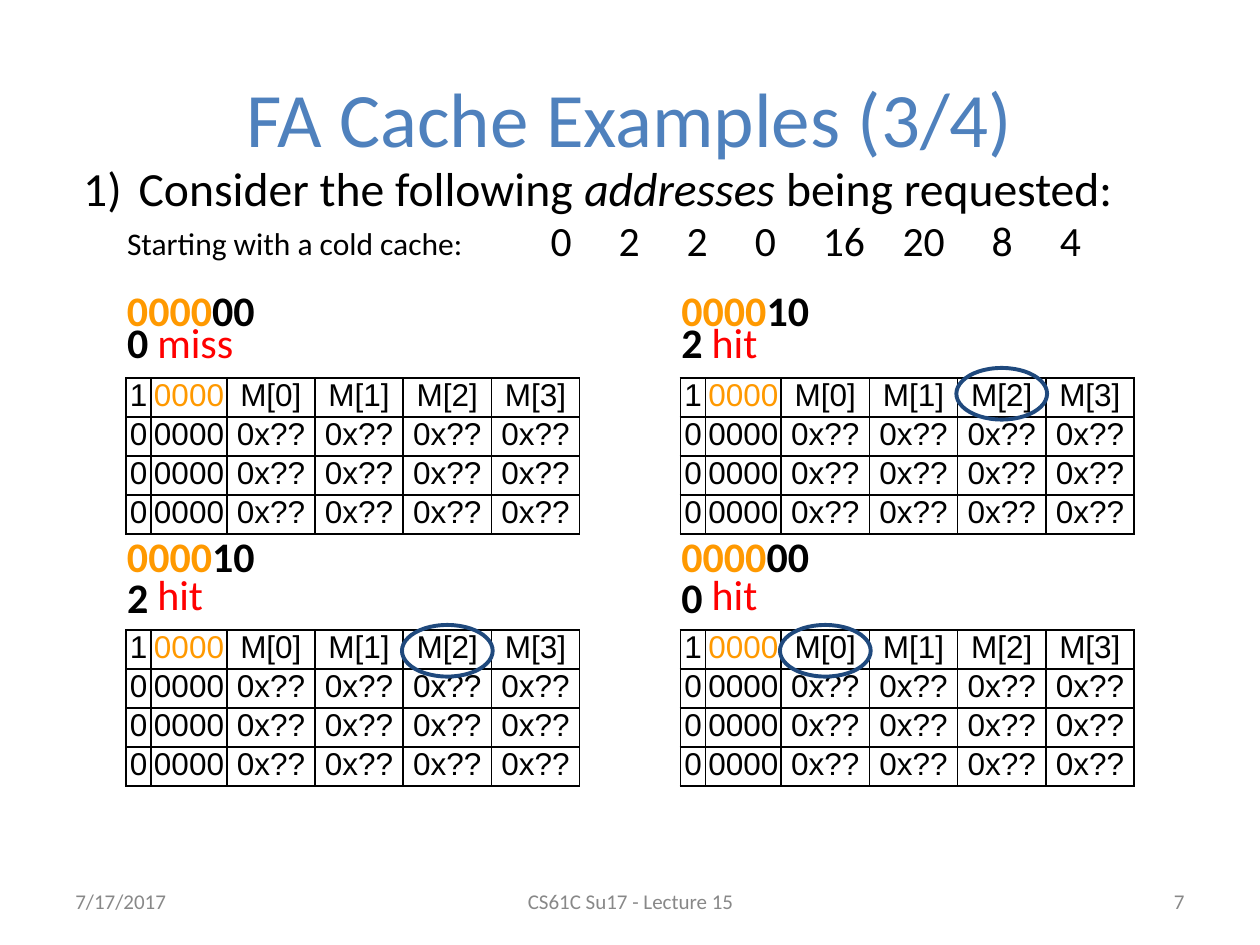
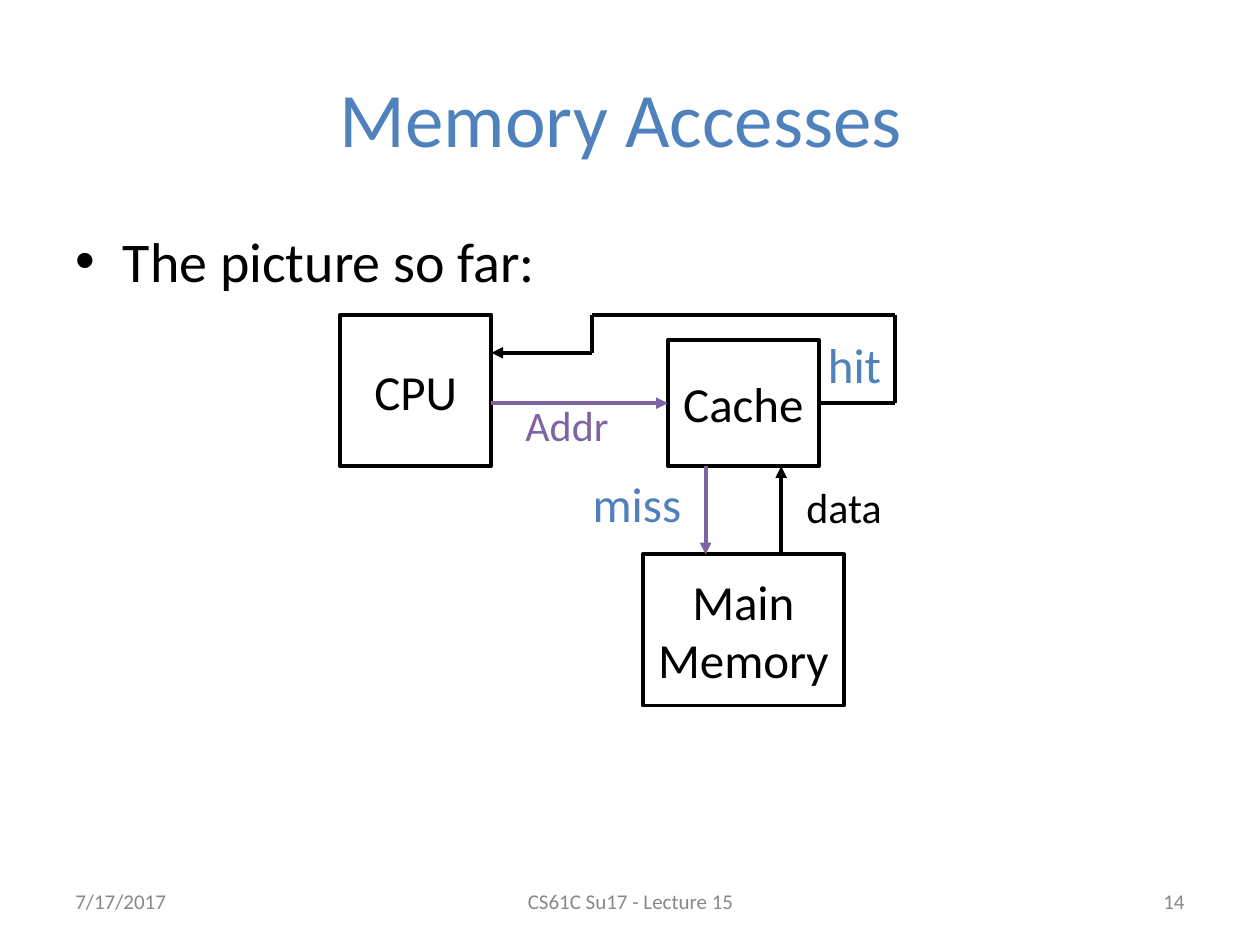
import itertools

import lxml.etree
import pptx
import pptx.dml.color
import pptx.enum.shapes
import pptx.enum.text
import pptx.oxml.ns
import pptx.util

RGB = pptx.dml.color.RGBColor
ALIGN = pptx.enum.text.PP_ALIGN
ANCHOR = pptx.enum.text.MSO_ANCHOR
SHAPE = pptx.enum.shapes.MSO_SHAPE

BLACK = RGB(0x00, 0x00, 0x00)
WHITE = RGB(0xFF, 0xFF, 0xFF)
TITLE_BLUE = RGB(0x4F, 0x81, 0xBD)
RING_BLUE = RGB(0x1F, 0x49, 0x7D)
PURPLE = RGB(0x80, 0x64, 0xA2)
TAG_ORANGE = RGB(0xFF, 0x99, 0x00)
RED = RGB(0xFF, 0x00, 0x00)
FOOTER_GRAY = RGB(0x88, 0x88, 0x88)

EMU_PER_PX = 9144
LINE_WIDTH = pptx.util.Pt(2.25)

TITLE_BOX = (50, 30, 900, 125)
FOOTER_TOP, FOOTER_HEIGHT = 695, 40
DATE = "7/17/2017"
LECTURE = "CS61C Su17 - Lecture 15"

REQUEST_BOX = (50, 130, 858, 89)
REQUEST = [("Consider the following ", False), ("addresses", True), (" being requested:", False)]
ADDRESSES = ["0", "2", "2", "0", "16", "20", "8", "4"]
ADDRESSES_INDENT = 377
WIDE_GAP, NARROW_GAP = 2150, 1610
COLD_START = "Starting with a cold cache:"

TAG = "0000"
CACHE_ROWS = [["1", TAG, "M[0]", "M[1]", "M[2]", "M[3]"]] + [["0", TAG] + ["0x??"] * 4] * 3
CACHE_COLUMNS = [20, 60, 70, 70, 70, 70]
CACHE_ROW_HEIGHT = 31
CACHE_LEFTS = [100, 540]
CACHE_BANDS = [
    {"table": 300, "bits": 221, "address": 246, "outcome": 246, "ring": 292},
    {"table": 500, "bits": 416, "address": 449, "outcome": 446, "ring": 496},
]
ACCESSES = [
    {"column": 0, "band": 0, "offset": "00", "address": "0", "outcome": "miss", "ringed": None},
    {"column": 1, "band": 0, "offset": "10", "address": "2", "outcome": "hit", "ringed": 4},
    {"column": 0, "band": 1, "offset": "10", "address": "2", "outcome": "hit", "ringed": 4},
    {"column": 1, "band": 1, "offset": "00", "address": "0", "outcome": "hit", "ringed": 2},
]
RING_WIDTH, RING_HEIGHT = 72, 41

PICTURE_BOX = (50, 175, 900, 540)
UNITS = {
    "Cache": (530, 270, 120, 100),
    "CPU": (270, 250, 120, 120),
    "Main Memory": (510, 440, 160, 120),
}
SIGNALS = [
    ("Addr", (410, 320, 80, 40), 24, PURPLE, ALIGN.CENTER),
    ("miss", (461, 380, 89, 50), 28, TITLE_BLUE, ALIGN.CENTER),
    ("hit", (650, 270, 58, 46), 28, TITLE_BLUE, ALIGN.LEFT),
    ("data", (630, 385, 80, 40), 24, BLACK, ALIGN.CENTER),
]
ROUTES = [
    {"points": [(390, 320), (530, 320)], "color": PURPLE, "end": ("Cache", 1)},
    {"points": [(560, 370), (560, 440)], "color": PURPLE},
    {"points": [(620, 440), (620, 370)], "color": BLACK},
    {"points": [(650, 320), (710, 320), (710, 250), (470, 250), (470, 280), (390, 280)],
     "color": BLACK, "begin": ("Cache", 3)},
]


def px(*lengths):
    return [pptx.util.Emu(length * EMU_PER_PX) for length in lengths]


def add_xml(parent, tag, **attributes):
    return lxml.etree.SubElement(parent, pptx.oxml.ns.qn(tag), attributes)


def style_runs(paragraph, size, color, font="Calibri", bold=False):
    for run in paragraph.runs:
        run.font.name = font
        run.font.size = pptx.util.Pt(size)
        run.font.color.rgb = color
        run.font.bold = bold


def indent(paragraph, margin, first_line):
    properties = paragraph._p.get_or_add_pPr()
    for name, length in zip(("marL", "indent"), px(margin, first_line)):
        properties.set(name, str(length))
    return properties


def place(placeholder, box):
    placeholder.left, placeholder.top, placeholder.width, placeholder.height = px(*box)
    placeholder.text_frame.auto_size = pptx.enum.text.MSO_AUTO_SIZE.NONE


def add_label(slide, text, box, size, color, align=ALIGN.LEFT, bold=False):
    label = slide.shapes.add_textbox(*px(*box))
    label.text_frame.word_wrap = True
    label.text_frame.text = text
    paragraph = label.text_frame.paragraphs[0]
    paragraph.alignment = align
    style_runs(paragraph, size, color, bold=bold)
    return label


def outline(shape, color):
    shape.shadow.inherit = False
    shape.fill.background()
    shape.line.color.rgb = color
    shape.line.width = LINE_WIDTH


def add_page(deck, title, number):
    slide = deck.slides.add_slide(deck.slide_layouts[1])
    heading = slide.shapes.title
    place(heading, TITLE_BOX)
    heading.text_frame.text = title
    heading.text_frame.vertical_anchor = ANCHOR.MIDDLE
    style_runs(heading.text_frame.paragraphs[0], 44, TITLE_BLUE)
    for text, left, width, align in [(DATE, 50, 233, ALIGN.LEFT),
                                     (LECTURE, 342, 317, ALIGN.CENTER),
                                     (number, 717, 233, ALIGN.RIGHT)]:
        footer = add_label(slide, text, (left, FOOTER_TOP, width, FOOTER_HEIGHT),
                           12, FOOTER_GRAY, align)
        footer.text_frame.vertical_anchor = ANCHOR.MIDDLE
    return slide


def write_request(body):
    place(body, REQUEST_BOX)
    request = body.text_frame.paragraphs[0]
    for text, italic in REQUEST:
        run = request.add_run()
        run.text = text
        run.font.italic = italic
    style_runs(request, 27.2, BLACK)
    request.line_spacing = 0.8
    request.space_before = pptx.util.Pt(0)
    properties = indent(request, 50, -44)
    add_xml(properties, "a:buFont", typeface="Calibri")
    add_xml(properties, "a:buAutoNum", type="arabicParenR")

    sequence = body.text_frame.add_paragraph()
    sequence.level = 1
    sequence.alignment = ALIGN.LEFT
    sequence.line_spacing = 0.8
    sequence.space_before = pptx.util.Pt(4.8)
    add_xml(indent(sequence, ADDRESSES_INDENT, 0), "a:buNone")
    sequence.add_run().text = ADDRESSES[0]
    for previous, address in itertools.pairwise(ADDRESSES):
        gap = sequence.add_run()
        gap.text = " "
        both_long = len(previous) == len(address) == 2
        gap.font._element.set("spc", str(NARROW_GAP if both_long else WIDE_GAP))
        sequence.add_run().text = address
    style_runs(sequence, 23.8, BLACK)


def format_cell(cell, text, color):
    cell.text_frame.text = text
    cell.margin_left = cell.margin_right = cell.margin_top = cell.margin_bottom = 0
    paragraph = cell.text_frame.paragraphs[0]
    paragraph.alignment = ALIGN.CENTER
    style_runs(paragraph, 18, color, font="Arial")
    properties = cell._tc.get_or_add_tcPr()
    for side in ("a:lnL", "a:lnR", "a:lnT", "a:lnB"):
        border = add_xml(properties, side, w=str(pptx.util.Pt(1)))
        add_xml(add_xml(border, "a:solidFill"), "a:srgbClr", val=str(BLACK))
    cell.fill.solid()
    cell.fill.fore_color.rgb = WHITE


def add_cache(slide, left, top):
    height = CACHE_ROW_HEIGHT * len(CACHE_ROWS)
    table = slide.shapes.add_table(len(CACHE_ROWS), len(CACHE_COLUMNS),
                                   *px(left, top, sum(CACHE_COLUMNS), height)).table
    table.first_row = table.horz_banding = False
    for column, width in zip(table.columns, px(*CACHE_COLUMNS)):
        column.width = width
    for r, texts in enumerate(CACHE_ROWS):
        table.rows[r].height = px(CACHE_ROW_HEIGHT)[0]
        for c, text in enumerate(texts):
            format_cell(table.cell(r, c), text, TAG_ORANGE if (r, c) == (0, 1) else BLACK)


def add_access(slide, access):
    left, band = CACHE_LEFTS[access["column"]], CACHE_BANDS[access["band"]]
    add_cache(slide, left, band["table"])
    add_label(slide, access["address"], (left - 9, band["address"], 45, 50), 24, BLACK, bold=True)
    add_label(slide, access["outcome"], (left + 15, band["outcome"], 90, 50), 24, RED)
    bits = add_label(slide, TAG, (left - 9, band["bits"], 166, 50), 24, TAG_ORANGE, bold=True)
    offset = bits.text_frame.paragraphs[0].add_run()
    offset.text = access["offset"]
    offset.font.name, offset.font.size, offset.font.bold = "Calibri", pptx.util.Pt(24), True
    offset.font.color.rgb = BLACK
    ringed = access["ringed"]
    if ringed is not None:
        center = left + sum(CACHE_COLUMNS[:ringed]) + CACHE_COLUMNS[ringed] // 2
        ring = slide.shapes.add_shape(
            SHAPE.OVAL, *px(center - RING_WIDTH // 2, band["ring"], RING_WIDTH, RING_HEIGHT))
        outline(ring, RING_BLUE)


def add_unit(slide, name, box):
    unit = slide.shapes.add_shape(SHAPE.RECTANGLE, *px(*box))
    outline(unit, BLACK)
    unit.text_frame.word_wrap = True
    unit.text_frame.vertical_anchor = ANCHOR.MIDDLE
    unit.text_frame.text = name
    unit.text_frame.paragraphs[0].alignment = ALIGN.CENTER
    style_runs(unit.text_frame.paragraphs[0], 28, BLACK)
    return unit


def add_signal(slide, text, box, size, color, align):
    frame = add_label(slide, text, box, size, color, align).text_frame
    frame.margin_left, frame.margin_right, frame.margin_top, frame.margin_bottom = px(7, 7, 3, 3)
    frame.paragraphs[0].line_spacing = 0.85


def add_route(slide, route, units):
    segments = []
    for start, stop in itertools.pairwise(route["points"]):
        segment = slide.shapes.add_connector(
            pptx.enum.shapes.MSO_CONNECTOR.STRAIGHT, *px(*start, *stop))
        segment.line.color.rgb = route["color"]
        segment.line.width = LINE_WIDTH
        add_xml(segment._element.spPr, "a:effectLst")
        segments.append(segment)
    add_xml(segments[-1].line._get_or_add_ln(), "a:tailEnd", type="triangle")
    if "begin" in route:
        name, side = route["begin"]
        segments[0].begin_connect(units[name], side)
    if "end" in route:
        name, side = route["end"]
        segments[-1].end_connect(units[name], side)


def build_cache_examples(deck):
    slide = add_page(deck, "FA Cache Examples (3/4)", "7")
    write_request(slide.placeholders[1])
    add_label(slide, COLD_START, (91, 173, 375, 40), 18, BLACK)
    for access in ACCESSES:
        add_access(slide, access)


def build_memory_accesses(deck):
    slide = add_page(deck, "Memory Accesses ", "14")
    body = slide.placeholders[1]
    place(body, PICTURE_BOX)
    body.text_frame.text = "The picture so far:"
    body.text_frame.paragraphs[0].space_before = pptx.util.Pt(0)
    style_runs(body.text_frame.paragraphs[0], 32, BLACK)
    units = {name: add_unit(slide, name, box) for name, box in UNITS.items()}
    for signal in SIGNALS:
        add_signal(slide, *signal)
    for route in ROUTES:
        add_route(slide, route, units)


def main():
    deck = pptx.Presentation()
    deck.slide_width, deck.slide_height = px(1000, 750)
    build_cache_examples(deck)
    build_memory_accesses(deck)
    deck.save("out.pptx")


if __name__ == "__main__":
    main()
